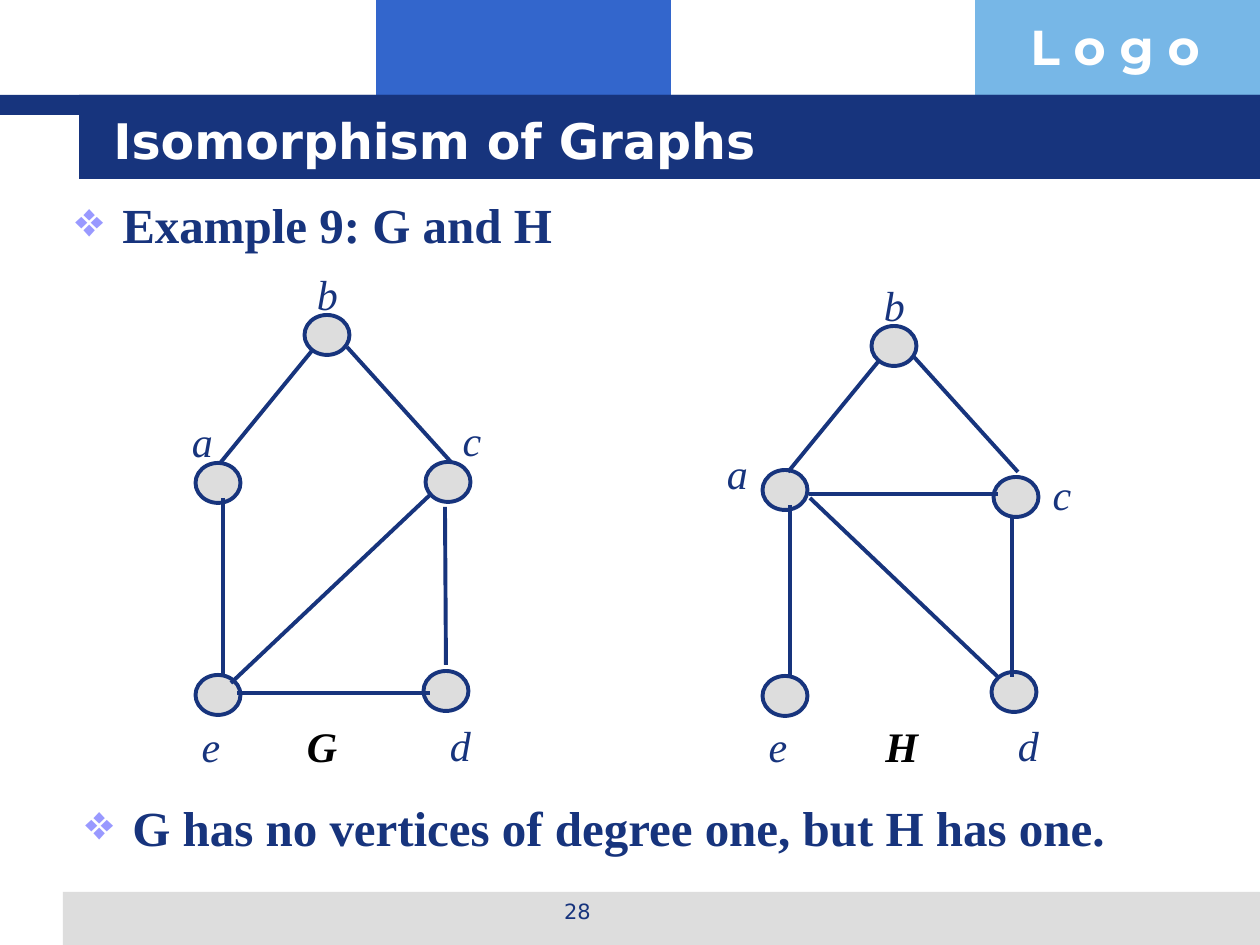
"""Build the slide that compares graphs G and H for isomorphism."""
import lxml.etree
import pptx
import pptx.dml.color
import pptx.enum.shapes
import pptx.enum.text
import pptx.oxml.ns
import pptx.util

PX = 914400 / 126
NAVY, GREY, WHITE, BLACK, LILAC = "17347D", "DDDDDD", "FFFFFF", "000000", "9999FF"
SERIF, SANS = "Times New Roman", "DejaVu Sans"
NODE_W, NODE_H = 45, 40
LABEL_H = 63
SHAPE = pptx.enum.shapes.MSO_SHAPE
ALIGN = pptx.enum.text.PP_ALIGN
ANCHOR = pptx.enum.text.MSO_ANCHOR

BANDS = [
    (376, 0, 295, 95, "3366CC"),
    (975, 0, 285, 95, "77B7E7"),
    (63, 892, 1197, 53, GREY),
    (0, 95, 1260, 20, NAVY),
    (79, 95, 1181, 84, NAVY),
]
STATEMENTS = [
    ("Example 9: G and H", 63, 195),
    ("G has no vertices of degree one, but H has one.", 73, 798),
]
GRAPHS = [
    {
        "name": ("G", 322, 746),
        "vertices": [(218, 483), (448, 482), (218, 695), (446, 691)],
        "apex": (327, 335),
        "edges": [(223, 498, 223, 675), (231, 683, 431, 494), (445, 507, 446, 665),
                  (430, 693, 237, 693), (315, 347, 221, 462), (347, 347, 451, 462)],
        "labels": [("a", 202, 441), ("b", 327, 294), ("c", 472, 440),
                   ("d", 460, 745), ("e", 211, 746)],
    },
    {
        "name": ("H", 901, 746),
        "vertices": [(785, 490), (1016, 497), (785, 696), (1014, 692)],
        "apex": (894, 346),
        "edges": [(790, 505, 790, 677), (1012, 677, 1012, 517), (810, 498, 998, 677),
                  (998, 494, 809, 494), (882, 357, 788, 472), (914, 357, 1018, 472)],
        "labels": [("a", 737, 473), ("b", 894, 305), ("c", 1062, 494),
                   ("d", 1028, 745), ("e", 778, 746)],
    },
]


def emu(*lengths):
    return [pptx.util.Emu(round(length * PX)) for length in lengths]


def color(value):
    return pptx.dml.color.RGBColor.from_string(value)


def add_filled(slide, kind, box, fill, line=None):
    shape = slide.shapes.add_shape(kind, *emu(*box))
    shape.shadow.inherit = False
    shape.fill.solid()
    shape.fill.fore_color.rgb = color(fill)
    if line:
        shape.line.color.rgb = color(line)
        shape.line.width = pptx.util.Pt(2.25)
    else:
        shape.line.fill.background()


def add_text(slide, text, box, size, font, ink, bold=False, italic=False,
             align=ALIGN.LEFT, anchor=ANCHOR.TOP, wrap=True):
    frame = slide.shapes.add_textbox(*emu(*box)).text_frame
    frame.word_wrap = wrap
    frame.vertical_anchor = anchor
    frame.text = text
    paragraph = frame.paragraphs[0]
    paragraph.alignment = align
    style = paragraph.runs[0].font
    style.size, style.name = pptx.util.Pt(size), font
    style.bold, style.italic = bold, italic
    style.color.rgb = color(ink)
    return paragraph


def add_statement(slide, text, left, top):
    paragraph = add_text(slide, text, (left, top, 1144, 67), 28, SERIF, NAVY, bold=True)
    properties = paragraph._p.get_or_add_pPr()
    indent = emu(47)[0]
    properties.set("marL", str(indent))
    properties.set("indent", str(-indent))
    qn = pptx.oxml.ns.qn
    bullet_color = lxml.etree.SubElement(properties, qn("a:buClr"))
    lxml.etree.SubElement(bullet_color, qn("a:srgbClr"), val=LILAC)
    lxml.etree.SubElement(properties, qn("a:buChar"), char="❖")
    paragraph.line_spacing = 0.9


def add_vertex(slide, x, y):
    box = (x - NODE_W / 2, y - NODE_H / 2, NODE_W, NODE_H)
    add_filled(slide, SHAPE.OVAL, box, GREY, NAVY)


def add_edge(slide, ends):
    edge = slide.shapes.add_connector(pptx.enum.shapes.MSO_CONNECTOR.STRAIGHT, *emu(*ends))
    edge.line.color.rgb = color(NAVY)
    edge.line.width = pptx.util.Pt(2.25)
    lxml.etree.SubElement(edge._element.spPr, pptx.oxml.ns.qn("a:effectLst"))


def add_label(slide, text, x, y, width=45, ink=NAVY, bold=False):
    add_text(slide, text, (x - width / 2, y - LABEL_H / 2, width, LABEL_H), 24, SERIF, ink,
             bold, True, ALIGN.CENTER, ANCHOR.MIDDLE, False)


def add_graph(slide, graph):
    for vertex in graph["vertices"]:
        add_vertex(slide, *vertex)
    for edge in graph["edges"]:
        add_edge(slide, edge)
    add_vertex(slide, *graph["apex"])
    for label in graph["labels"]:
        add_label(slide, *label)
    add_label(slide, *graph["name"], width=56, ink=BLACK, bold=True)


def main():
    deck = pptx.Presentation()
    deck.slide_width, deck.slide_height = emu(1260, 945)
    slide = deck.slides.add_slide(deck.slide_layouts[6])
    for *box, fill in BANDS:
        add_filled(slide, SHAPE.RECTANGLE, box, fill)
    add_text(slide, "L o g o", (1018, 10, 242, 72), 28, "Montserrat", WHITE, bold=True)
    add_text(slide, "28", (431, 892, 293, 44), 12, SANS, NAVY, align=ALIGN.CENTER)
    add_text(slide, "Isomorphism of Graphs", (101, 101, 1075, 78), 28, SANS, WHITE,
             bold=True, anchor=ANCHOR.MIDDLE)
    for statement in STATEMENTS:
        add_statement(slide, *statement)
    for graph in GRAPHS:
        add_graph(slide, graph)
    deck.save("out.pptx")


if __name__ == "__main__":
    main()
